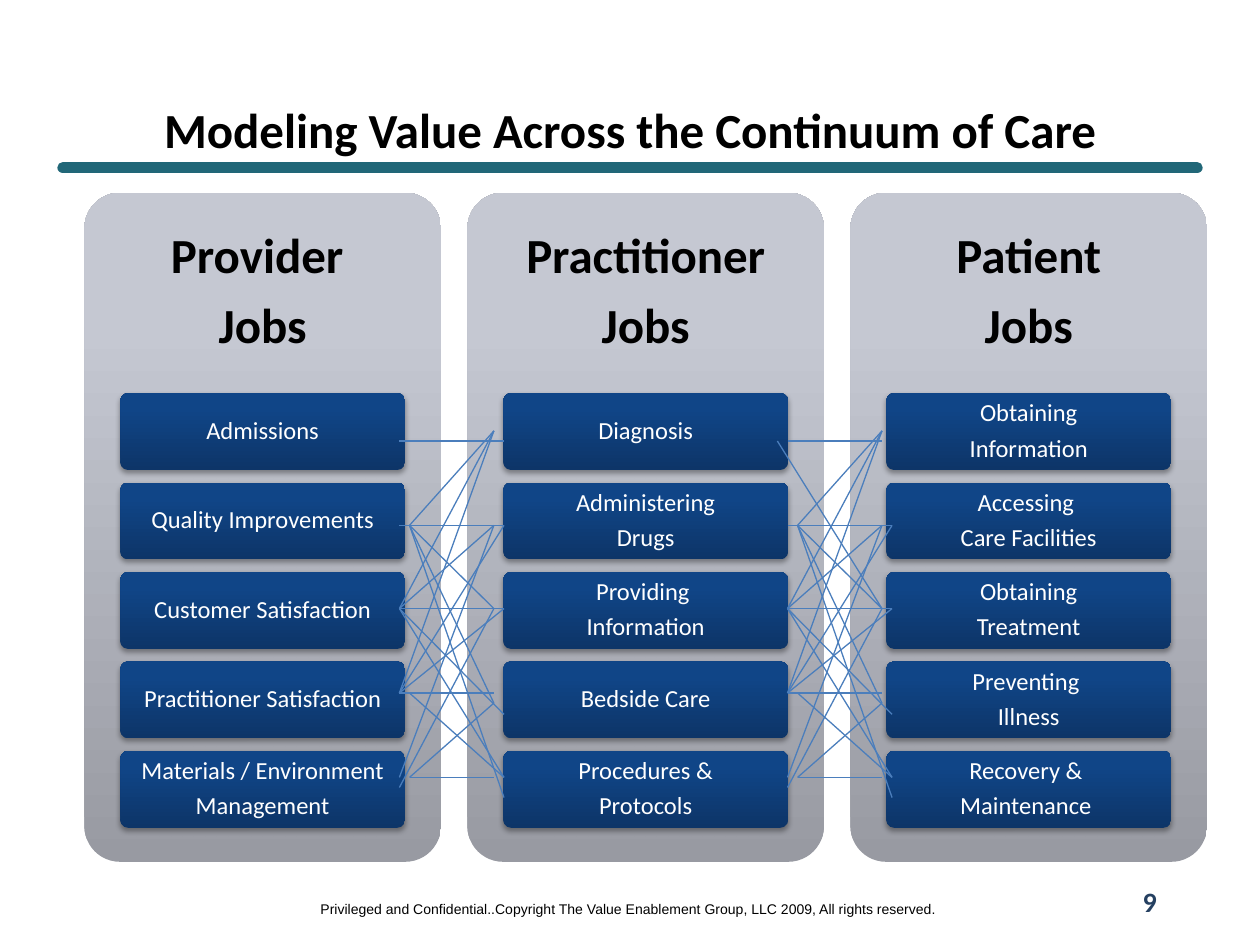
from lxml.etree import SubElement
from pptx import Presentation
from pptx.dml.color import RGBColor
from pptx.enum.shapes import MSO_CONNECTOR as Connector, MSO_SHAPE as Shape
from pptx.enum.text import MSO_ANCHOR as Anchor, PP_ALIGN as Align
from pptx.oxml.ns import qn
from pptx.util import Inches, Pt

# Content
TITLE = "Modeling Value Across the Continuum of Care"
FOOTER = ("Privileged and Confidential..Copyright The Value Enablement Group, "
          "LLC 2009, All rights reserved.")
PAGE_NUMBER = "9"
COLUMNS = [
    ("Provider \nJobs", ["Admissions", "Quality Improvements", "Customer Satisfaction",
                         "Practitioner Satisfaction", "Materials / Environment\nManagement"]),
    ("Practitioner\nJobs", ["Diagnosis", "Administering\nDrugs", "Providing \nInformation",
                            "Bedside Care", "Procedures &\nProtocols"]),
    ("Patient\nJobs", ["Obtaining\nInformation", "Accessing \nCare Facilities",
                       "Obtaining\nTreatment", "Preventing \nIllness",
                       "Recovery & \nMaintenance "]),
]

# Links between two neighbouring columns: start point -> end points
LINKS = {
    (3.25, 4.17): [(3.92, 3.42), (3.92, 4.83), (3.92, 5.58), (4, 6.33)],
    (3.17, 4.17): [(4, 4.17)],
    (3.17, 4.83): [(3.92, 3.42), (3.92, 4.17), (4, 4.83), (4, 5.67), (4, 6.17)],
    (3.17, 5.5): [(3.92, 3.42), (4, 4.17), (4, 4.83), (3.92, 5.5)],
    (3.25, 5.5): [(4, 6.17)],
    (3.17, 6.17): [(3.92, 4.17)],
    (3.17, 6.25): [(3.92, 4.83)],
    (3.25, 6.17): [(3.92, 5.58), (3.92, 6.17)],
}
LINK_SHIFTS = [0, 3.08]
TOP_LINKS = [((3.17, 3.5), (4, 3.5)), ((6.25, 3.5), (7, 3.5)), ((6.17, 3.5), (7, 4.83))]

# Layout and colours
PANEL_LEFT, PANEL_TOP, PANEL_WIDTH, PANEL_HEIGHT, PANEL_PITCH = 0.67, 1.53, 2.83, 5.31, 3.04
HEADING_HEIGHT = 1.59
CARD_WIDTH, CARD_HEIGHT, CARD_PITCH = 2.26, 0.61, 0.71
CARD_INDENT = (PANEL_WIDTH - CARD_WIDTH) / 2
CARD_TOP = PANEL_TOP + HEADING_HEIGHT
PANEL_STOPS = [(0, "989AA2"), (80, "C5C8D2"), (100, "C5C9D3")]
CARD_STOPS = [(0, "0D3568"), (80, "104587"), (100, "0E458A")]
RULE_COLOR, LINK_COLOR, NUMBER_COLOR = "216778", "4B7EBC", "254061"


def color(value):
    return RGBColor.from_string(value)


def write(shape, text, size=14, ink="000000", font="Calibri", bold=False, wrap=True,
          inset=(0, 0), line_spacing=None, gap=0):
    frame = shape.text_frame
    frame.word_wrap = wrap
    frame.vertical_anchor = Anchor.MIDDLE
    frame.margin_left = frame.margin_right = Inches(inset[0])
    frame.margin_top = frame.margin_bottom = Inches(inset[1])
    lines = text.split("\n")
    for index, line in enumerate(lines):
        para = frame.paragraphs[0] if index == 0 else frame.add_paragraph()
        para.alignment = Align.CENTER
        para.line_spacing = line_spacing
        if index < len(lines) - 1:
            para.space_after = Pt(size * gap)
        span = para.add_run()
        span.text = line
        span.font.name, span.font.size, span.font.bold = font, Pt(size), bold
        span.font.color.rgb = color(ink)


def add_text(page, text, left, top, width, height, **style):
    box = page.shapes.add_textbox(Inches(left), Inches(top), Inches(width), Inches(height))
    write(box, text, **style)


def add_block(page, left, top, width, height, stops):
    """Rounded rectangle filled from bottom to top through the given stops."""
    block = page.shapes.add_shape(Shape.ROUNDED_RECTANGLE, Inches(left), Inches(top),
                                  Inches(width), Inches(height))
    block.adjustments[0] = 0.1
    block.shadow.inherit = False
    block.line.fill.background()
    block.fill.gradient()
    block.fill.gradient_angle = 90
    stop_list = block._element.spPr.find(f".//{qn('a:gsLst')}")
    for stop in list(stop_list):
        stop_list.remove(stop)
    for position, value in stops:
        stop = SubElement(stop_list, qn("a:gs"), pos=str(position * 1000))
        SubElement(stop, qn("a:srgbClr"), val=value)
    return block


def add_drop_shadow(block):
    effects = block._element.spPr.find(qn("a:effectLst"))
    shadow = SubElement(effects, qn("a:outerShdw"), blurRad=str(Pt(3.1)), dist=str(Pt(1.8)),
                        dir="5400000", rotWithShape="0")
    ink = SubElement(shadow, qn("a:srgbClr"), val="000000")
    SubElement(ink, qn("a:alpha"), val="35000")


def add_line(page, start, end, ink, width):
    line = page.shapes.add_connector(Connector.STRAIGHT, *map(Inches, start + end))
    line.line.color.rgb = color(ink)
    line.line.width = Pt(width)
    SubElement(line._element.spPr, qn("a:effectLst"))
    return line


def main():
    deck = Presentation()
    deck.slide_width, deck.slide_height = Inches(10), Inches(7.5)
    page = deck.slides.add_slide(deck.slide_layouts[6])

    # Rule, footer, title and page number
    rule = add_line(page, (0.5, 1.33), (9.5, 1.33), RULE_COLOR, 6.5)
    rule.line._get_or_add_ln().set("cap", "rnd")
    add_text(page, FOOTER, 2.41, 7.09, 5.16, 0.24, size=8, font="Arial", wrap=False)
    add_text(page, TITLE, 0.5, 0.83, 9, 0.38, size=28, bold=True)
    add_text(page, PAGE_NUMBER, 8.75, 6.95, 0.75, 0.4, size=16, ink=NUMBER_COLOR, bold=True)

    # Columns of job cards
    for column, (heading, jobs) in enumerate(COLUMNS):
        left = PANEL_LEFT + column * PANEL_PITCH
        add_block(page, left, PANEL_TOP, PANEL_WIDTH, PANEL_HEIGHT, PANEL_STOPS)
        add_text(page, heading, left, PANEL_TOP, PANEL_WIDTH, HEADING_HEIGHT, size=28,
                 bold=True, inset=(0.12, 0.12), line_spacing=0.9, gap=0.35)
        for row, job in enumerate(jobs):
            card = add_block(page, left + CARD_INDENT, CARD_TOP + row * CARD_PITCH,
                             CARD_WIDTH, CARD_HEIGHT, CARD_STOPS)
            add_drop_shadow(card)
            write(card, job, ink="FFFFFF", inset=(0.02, 0.01), line_spacing=0.9, gap=0.35)

    # Links across the gaps
    for shift in LINK_SHIFTS:
        for (start_x, start_y), ends in LINKS.items():
            for end_x, end_y in ends:
                add_line(page, (start_x + shift, start_y), (end_x + shift, end_y),
                         LINK_COLOR, 0.75)
    for start, end in TOP_LINKS:
        add_line(page, start, end, LINK_COLOR, 0.75)

    deck.save("out.pptx")


if __name__ == "__main__":
    main()
